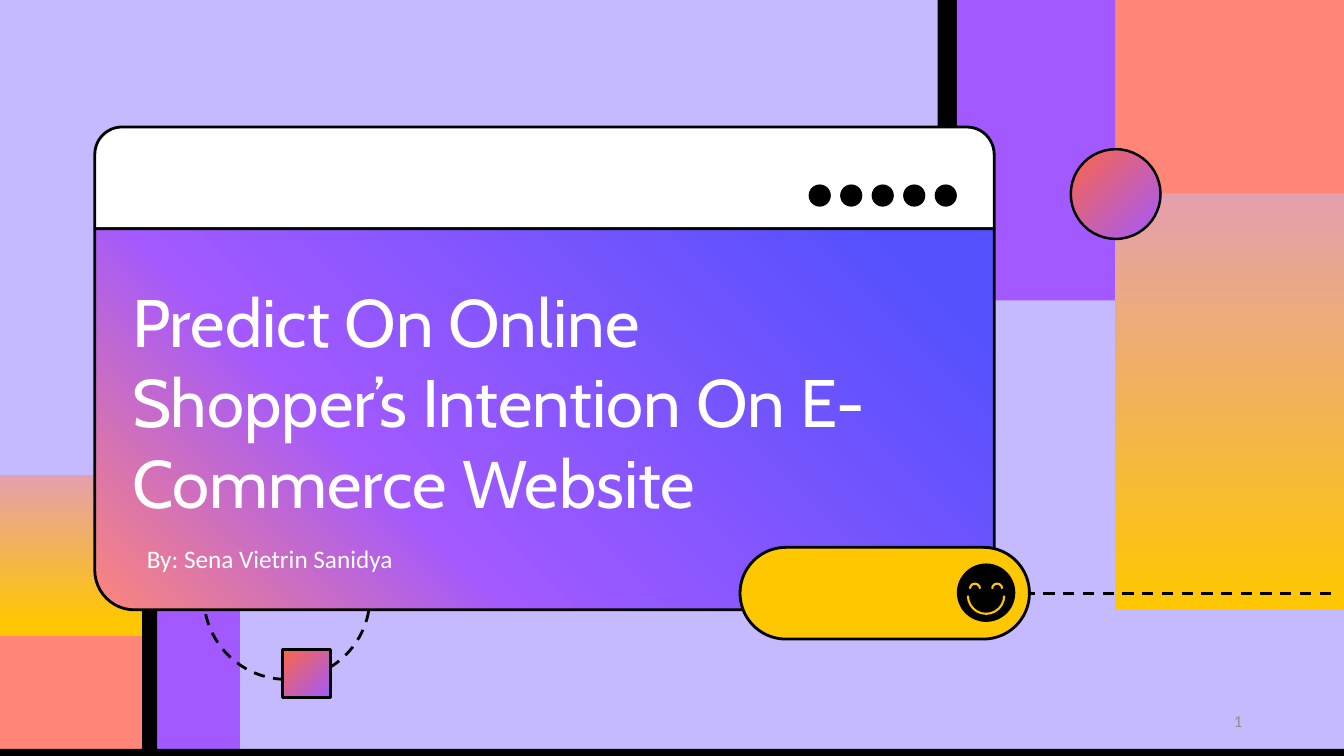
from lxml import etree
from pptx import Presentation
from pptx.dml.color import RGBColor
from pptx.enum.dml import MSO_LINE
from pptx.enum.shapes import MSO_CONNECTOR, MSO_SHAPE
from pptx.enum.text import MSO_ANCHOR, PP_ALIGN
from pptx.oxml.ns import qn
from pptx.util import Inches, Pt

RECT, OVAL, ARC = MSO_SHAPE.RECTANGLE, MSO_SHAPE.OVAL, MSO_SHAPE.ARC
PILL, CARD = MSO_SHAPE.ROUNDED_RECTANGLE, MSO_SHAPE.ROUND_2_SAME_RECTANGLE
DASH = MSO_LINE.DASH
TOP, MIDDLE = MSO_ANCHOR.TOP, MSO_ANCHOR.MIDDLE
LEFT, CENTER, RIGHT = PP_ALIGN.LEFT, PP_ALIGN.CENTER, PP_ALIGN.RIGHT

BLACK, WHITE, YELLOW = "000000", "FFFFFF", "FFC700"
CORAL, PURPLE, LILAC = "FF8576", "A259FF", "C5BAFF"
SUNSET = (270, [(0, YELLOW), (100, "E49FAE")])
LOW_SUNSET = (270, [(8, YELLOW), (100, "E49FAE")])
EMBER = (45, [(0, "FC6645"), (100, PURPLE)])
DUSK = (135, [(9, "5551FE"), (67, PURPLE), (100, "FC867A")])

WIDTH, HEIGHT = 13.33, 7.5
left_col, right_col, purple_col = 1.41, 11.06, 9.49
coral_row, sunset_row = 6.31, 1.92
card_left, card_top, card_split, card_bottom, card_width = 0.94, 1.26, 2.27, 6.05, 8.92

prs = Presentation()
prs.slide_width, prs.slide_height = Inches(WIDTH), Inches(HEIGHT)
slide = prs.slides.add_slide(prs.slide_layouts[6])
slide.background.fill.solid()
slide.background.fill.fore_color.rgb = RGBColor.from_string(LILAC)


def draw(kind, box, fill=None, weight=0, line=BLACK, adjust=()):
    shape = slide.shapes.add_shape(kind, *map(Inches, box))
    shape.shadow.inherit = False
    for index, value in enumerate(adjust):
        shape.adjustments[index] = value
    if fill is None:
        shape.fill.background()
    elif isinstance(fill, str):
        shape.fill.solid()
        shape.fill.fore_color.rgb = RGBColor.from_string(fill)
    else:
        angle, stops = fill
        shape.fill.gradient()
        gradient = shape.element.spPr.find(qn("a:gradFill"))
        stop_list = gradient.find(qn("a:gsLst"))
        for old_stop in list(stop_list):
            stop_list.remove(old_stop)
        for position, color in stops:
            stop = etree.SubElement(stop_list, qn("a:gs"), pos=str(position * 1000))
            etree.SubElement(stop, qn("a:srgbClr"), val=color)
        gradient.find(qn("a:lin")).set("ang", str(angle * 60000))
    if weight:
        shape.line.color.rgb = RGBColor.from_string(line)
        shape.line.width = Pt(weight)
    else:
        shape.line.fill.background()
    return shape


def write(text, box, size, font, color, align, anchor, inset=0.1):
    label = slide.shapes.add_textbox(*map(Inches, box))
    frame = label.text_frame
    frame.word_wrap = True
    frame.margin_left = Inches(inset)
    frame.vertical_anchor = anchor
    paragraph = frame.paragraphs[0]
    paragraph.text = text
    paragraph.alignment = align
    paragraph.font.size = Pt(size)
    paragraph.font.name = font
    paragraph.font.color.rgb = RGBColor.from_string(color)


panels = [
    ((9.3, 0, 0.22, 1.37), BLACK),
    ((0, coral_row, left_col, HEIGHT - coral_row), CORAL),
    ((left_col, 5.65, 0.97, 1.85), PURPLE),
    ((0, 4.71, left_col, 1.6), LOW_SUNSET),
    ((right_col, 0, WIDTH - right_col, sunset_row), CORAL),
    ((purple_col, 0, right_col - purple_col, 2.98), PURPLE),
    ((right_col, sunset_row, WIDTH - right_col, 4.13), SUNSET),
]
for box, fill in panels:
    draw(RECT, box, fill)

orbit = draw(OVAL, (2.02, 5.09, 1.65, 1.65), weight=2)
orbit.line.dash_style = DASH
write("1", (9.42, 6.95, 3, 0.4), 12, "Calibri", "8C8C8C", RIGHT, MIDDLE)

draw(CARD, (card_left, card_top, card_width, card_split - card_top), WHITE, 2,
     adjust=(0.269, 0))
draw(CARD, (card_left, card_split, card_width, card_bottom - card_split), DUSK, 2,
     adjust=(0, 0.104))
write("Predict On Online Shopper’s Intention On E-Commerce Website",
      (1.31, 2.73, 7.87, 2.52), 48, "Cabin", WHITE, LEFT, TOP, inset=0)

button = draw(PILL, (7.34, 5.43, 2.87, 0.91), YELLOW, 2, adjust=(0.5,))
trail_y = button.top + button.height // 2
trail = slide.shapes.add_connector(MSO_CONNECTOR.STRAIGHT, Inches(13.2), trail_y,
                                   button.left + button.width, trail_y)
trail.end_connect(button, 3)
trail.line.color.rgb = RGBColor.from_string(BLACK)
trail.line.width = Pt(2)
trail.line.dash_style = DASH
etree.SubElement(trail.element.spPr, qn("a:effectLst"))

for dot in range(5):
    draw(OVAL, (8.02 + dot * 0.3125, 1.83, 0.22, 0.22), BLACK)

face_x, face_y = 9.78, 5.88
draw(OVAL, (face_x - 0.29, face_y - 0.29, 0.58, 0.58), BLACK)
HALF_TURN = 108
for offset_x, offset_y, radius, sweep in [
    (-0.11, -0.04, 0.05, (HALF_TURN, 0)),
    (0.11, -0.04, 0.05, (HALF_TURN, 0)),
    (0, 0.03, 0.18, (0, HALF_TURN)),
]:
    draw(ARC, (face_x + offset_x - radius, face_y + offset_y - radius,
               2 * radius, 2 * radius), weight=1.5, line=YELLOW, adjust=sweep)

draw(RECT, (0, 7.43, WIDTH, 0.08), BLACK)
draw(OVAL, (10.62, 1.48, 0.89, 0.89), EMBER, 1.75)
draw(RECT, (2.8, 6.44, 0.48, 0.48), EMBER, 2)
draw(RECT, (left_col, 6.06, 0.15, 1.37), BLACK)
write("By: Sena Vietrin Sanidya", (-0.52, 5.3, 6.39, 0.48), 18, "Calibri", WHITE,
      CENTER, MIDDLE)

prs.save("out.pptx")
